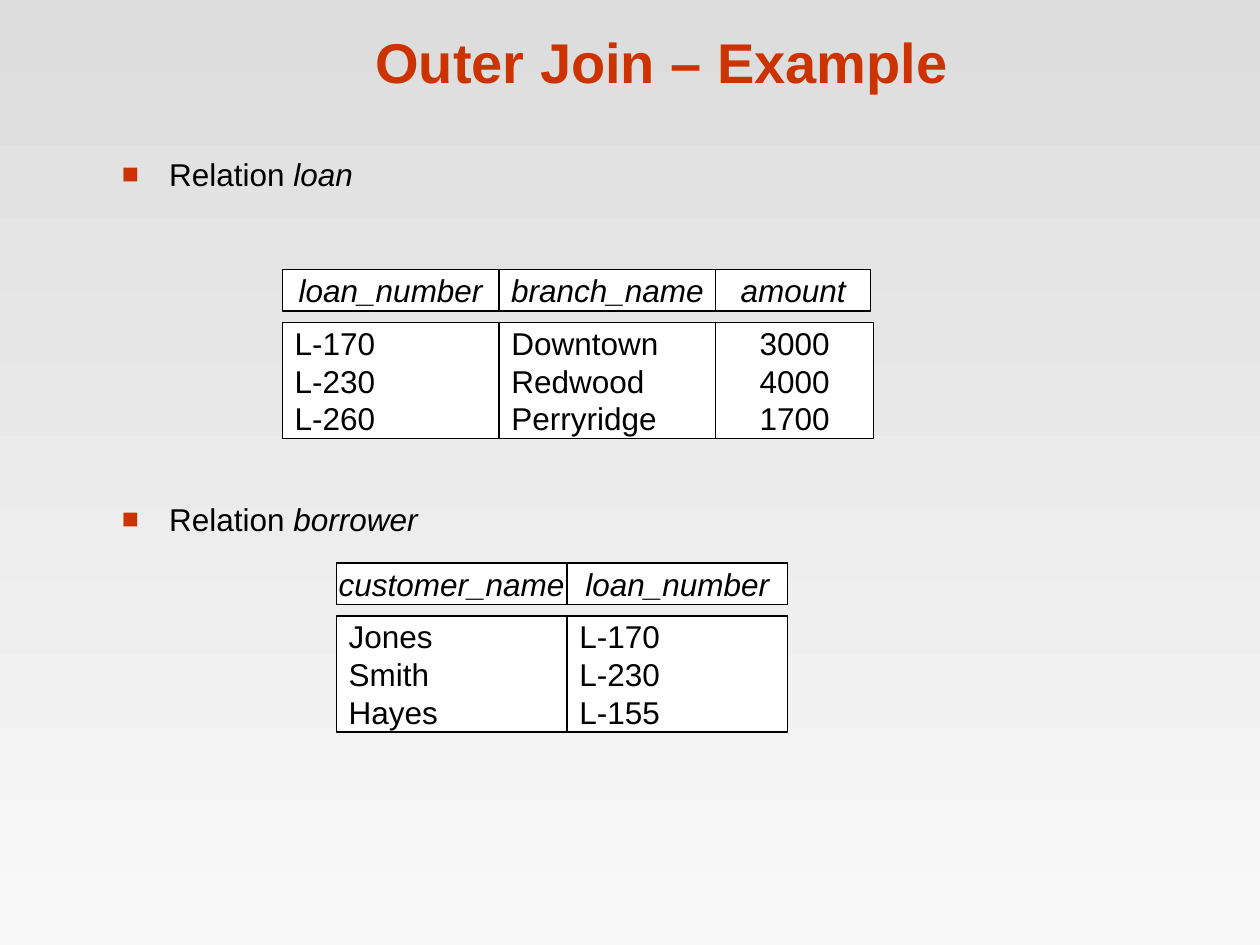
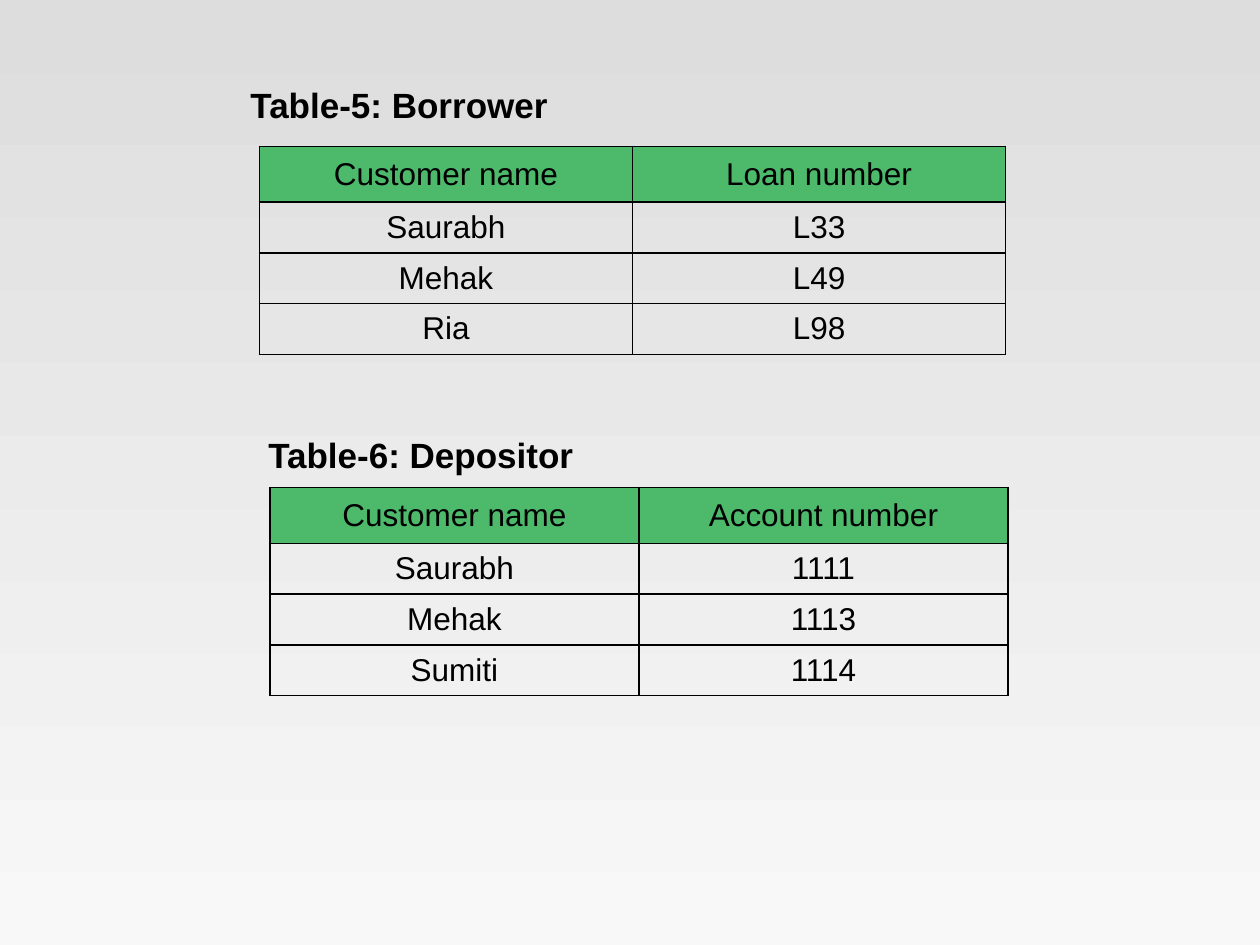
from lxml.etree import SubElement
from pptx import Presentation
from pptx.dml.color import RGBColor as RGB
from pptx.enum.shapes import MSO_SHAPE as SHAPE
from pptx.enum.text import MSO_ANCHOR as ANCHOR, PP_ALIGN as ALIGN
from pptx.oxml.ns import qn
from pptx.util import Cm, Pt

COLORS = {"title": "CC3300", "text": "000000", "line": "000000", "cell": "FFFFFF",
          "header": "4CB96B", "bg_top": "DDDDDD", "bg_bottom": "F8F8F8"}
FONT = "Arial"


def add_run(p, text, size=18, color="text", bold=False, italic=False):
    r = p.add_run()
    r.text = text
    r.font.name, r.font.size = FONT, Pt(size)
    r.font.bold, r.font.italic = bold, italic
    r.font.color.rgb = RGB.from_string(COLORS[color])


def add_box(s, left, top, width, height, anchor):
    tf = s.shapes.add_textbox(Cm(left), Cm(top), Cm(width), Cm(height)).text_frame
    tf.word_wrap = True
    tf.vertical_anchor = anchor
    return tf.paragraphs[0]


prs = Presentation()
prs.slide_width, prs.slide_height = Cm(25.4), Cm(19.05)

# Both slides share a vertical grey gradient
slides = [prs.slides.add_slide(prs.slide_layouts[6]) for _ in range(2)]
for s in slides:
    fill = s.background.fill
    fill.gradient()
    fill.gradient_angle = 270
    for stop, name in zip(fill.gradient_stops, ("bg_top", "bg_bottom")):
        stop.color.rgb = RGB.from_string(COLORS[name])
join_slide, tables_slide = slides

# Title
p = add_box(join_slide, 2.13, 0.33, 22.43, 1.7, ANCHOR.BOTTOM)
p.alignment = ALIGN.CENTER
add_run(p, "Outer Join – Example", 32, "title", bold=True)

# Bullets naming the relations
for relation, top, width in (("loan", 3.0, 19.05), ("borrower", 9.96, 19.53)):
    p = add_box(join_slide, 2.21, top, width, 1.35, ANCHOR.TOP)
    pPr = p._p.get_or_add_pPr()
    pPr.set("marL", str(Cm(0.95)))
    pPr.set("indent", str(-Cm(0.95)))
    SubElement(SubElement(pPr, qn("a:buClr")), qn("a:srgbClr"), val=COLORS["title"])
    SubElement(pPr, qn("a:buSzPct"), val="90000")
    SubElement(pPr, qn("a:buFont"), typeface=FONT)
    SubElement(pPr, qn("a:buChar"), char="■")
    add_run(p, "Relation ")
    add_run(p, relation, italic=True)

# Relations: left, top, then columns of (name, header width, body width, alignment, values)
relations = [
    (5.69, 5.43, [
        ("loan_number", 4.37, 4.37, ALIGN.LEFT, ["L-170", "L-230", "L-260"]),
        ("branch_name", 4.37, 4.37, ALIGN.LEFT, ["Downtown", "Redwood", "Perryridge"]),
        ("amount", 3.12, 3.18, ALIGN.CENTER, ["3000", "4000", "1700"])]),
    (6.78, 11.35, [
        ("customer_name", 4.65, 4.65, ALIGN.LEFT, ["Jones", "Smith", "Hayes"]),
        ("loan_number", 4.45, 4.45, ALIGN.LEFT, ["L-170", "L-230", "L-155"])]),
]
for left, top, columns in relations:
    group = join_slide.shapes.add_group_shape()
    for name, header_w, body_w, align, values in columns:
        parts = ((top, header_w, 0.84, ALIGN.CENTER, [name], True),
                 (top + 1.07, body_w, 2.34, align, values, False))
        for y, width, height, part_align, lines, italic in parts:
            sp = group.shapes.add_shape(SHAPE.RECTANGLE, Cm(left), Cm(y), Cm(width), Cm(height))
            sp.shadow.inherit = False
            sp.fill.solid()
            sp.fill.fore_color.rgb = RGB.from_string(COLORS["cell"])
            sp.line.color.rgb = RGB.from_string(COLORS["line"])
            sp.line.width = Pt(0.75)
            tf = sp.text_frame
            tf.word_wrap = False
            tf.vertical_anchor = ANCHOR.MIDDLE
            for i, text in enumerate(lines):
                p = tf.add_paragraph() if i else tf.paragraphs[0]
                p.alignment = part_align
                add_run(p, text, italic=italic)
        left += header_w

# Captioned tables: caption, its left, top and width, then table left, top, column width, rows
tables = [
    ("Table-5: Borrower", 4.8, 1.55, 6.6, 5.23, 2.95, 7.52,
     [("Customer name", "Loan number"), ("Saurabh", "L33"), ("Mehak", "L49"), ("Ria", "L98")]),
    ("Table-6: Depositor", 5.16, 8.61, 10.64, 5.44, 9.83, 7.44,
     [("Customer name", "Account number"), ("Saurabh", "1111"), ("Mehak", "1113"),
      ("Sumiti", "1114")]),
]
for caption, cap_left, cap_top, cap_width, left, top, col_width, rows in tables:
    p = add_box(tables_slide, cap_left, cap_top, cap_width, 1.12, ANCHOR.MIDDLE)
    add_run(p, caption, 20, bold=True)

    table = tables_slide.shapes.add_table(len(rows), 2, Cm(left), Cm(top),
                                          Cm(2 * col_width), Cm(4.15)).table
    table.first_row = table.horz_banding = False
    for column in table.columns:
        column.width = Cm(col_width)
    for i, values in enumerate(rows):
        table.rows[i].height = Cm(1.02 if i else 1.09)
        for j, value in enumerate(values):
            cell = table.cell(i, j)
            cell.vertical_anchor = ANCHOR.MIDDLE
            cell.margin_left = cell.margin_right = Cm(0.25 if i else 0.18)
            cell.margin_top = cell.margin_bottom = Cm(0.13 if i else 0.18)
            for side in ("lnL", "lnR", "lnT", "lnB"):
                ln = SubElement(cell._tc.get_or_add_tcPr(), qn(f"a:{side}"), w=str(Pt(1)))
                SubElement(SubElement(ln, qn("a:solidFill")), qn("a:srgbClr"), val=COLORS["line"])
            if i:
                cell.fill.background()
            else:
                cell.fill.solid()
                cell.fill.fore_color.rgb = RGB.from_string(COLORS["header"])
            p = cell.text_frame.paragraphs[0]
            p.alignment = ALIGN.CENTER
            add_run(p, value)

prs.save("out.pptx")
